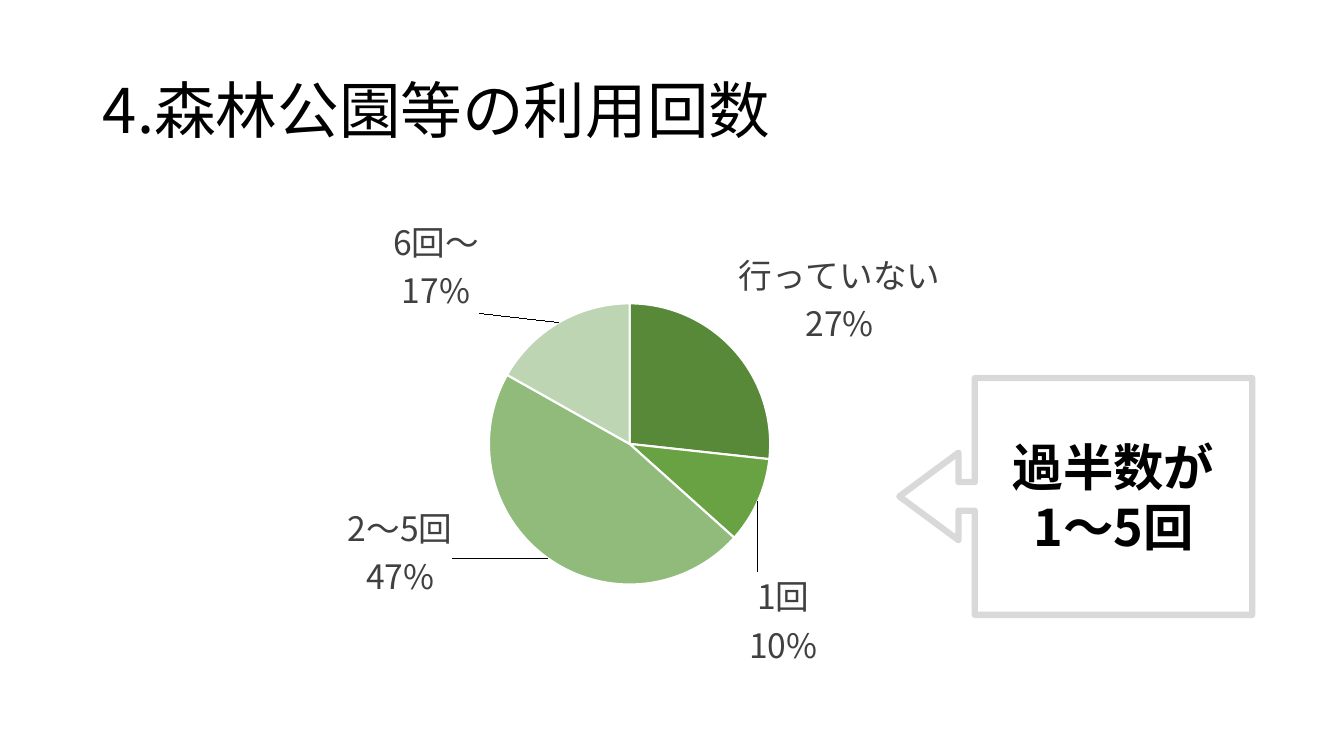
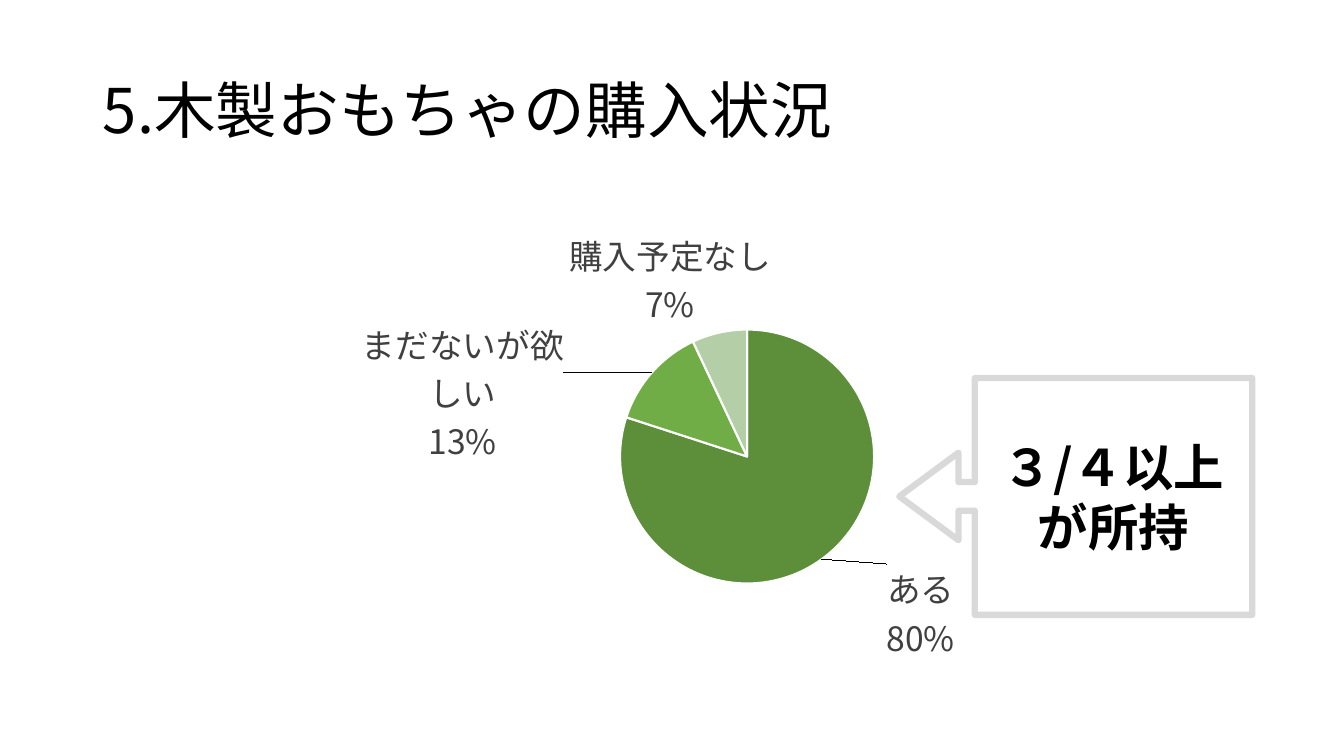
from dataclasses import dataclass

from lxml import etree
from pptx import Presentation
from pptx.chart.data import CategoryChartData
from pptx.dml.color import RGBColor
from pptx.enum.chart import XL_CHART_TYPE, XL_LABEL_POSITION
from pptx.enum.shapes import MSO_SHAPE
from pptx.enum.text import MSO_ANCHOR, MSO_AUTO_SIZE, PP_ALIGN
from pptx.oxml.ns import qn
from pptx.util import Inches, Pt

PIE = XL_CHART_TYPE.PIE
BEST_FIT = XL_LABEL_POSITION.BEST_FIT
LEFT_CALLOUT = MSO_SHAPE.LEFT_ARROW_CALLOUT
MIDDLE = MSO_ANCHOR.MIDDLE
NO_AUTOFIT = MSO_AUTO_SIZE.NONE
LEFT, CENTER = PP_ALIGN.LEFT, PP_ALIGN.CENTER
TITLE_ONLY = 5


@dataclass(frozen=True)
class Theme:
    font: str = "Noto Sans CJK JP"
    ink: str = "000000"
    label: str = "404040"
    paper: str = "FFFFFF"
    outline: str = "D9D9D9"
    title_size: int = 44
    callout_size: int = 36
    label_size: int = 24
    chart_size: int = 10


TITLE_AREA = (0.92, 0.4, 11.5, 1.45)
CHART_AREA = (0.92, 2, 11.5, 4.76)
CALLOUT_AREA = (8.92, 3.75, 3.5, 2.35)
CALLOUT_SHAPE = (0.121, 0.185, 0.25, 0.786)

PAGES = [
    {
        "title": "4.森林公園等の利用回数",
        "slices": [("行っていない", 27, "588938"), ("1回", 10, "69A242"),
                   ("2～5回", 47, "90BB7B"), ("6回～", 17, "BED5B4")],
        "pie": (4.85, 3.01, 2.79),
        "moves": {1: (-0.14, 0.67), 2: (-0.91, -0.6), 3: (-0.76, -0.04)},
        "callout": ["過半数が", "1～5回"],
    },
    {
        "title": "5.木製おもちゃの購入状況",
        "slices": [("ある", 80, "5D8F3B"), ("まだないが欲しい", 13, "70AD47"),
                   ("購入予定なし", 7, "B4CFA8")],
        "pie": (6.15, 3.27, 2.52),
        "moves": {0: (0.61, 0), 1: (-0.83, 0.95)},
        "callout": ["３/４以上が所持"],
    },
]


def color(value):
    return RGBColor.from_string(value)


def chart_layout(**settings):
    layout = etree.Element(qn("c:layout"))
    manual = etree.SubElement(layout, qn("c:manualLayout"))
    for name, value in settings.items():
        text = value if isinstance(value, str) else f"{value:.4f}"
        etree.SubElement(manual, qn(f"c:{name}")).set("val", text)
    return layout


def show_name_and_percent(labels):
    for name, value in (("showVal", "0"), ("showCatName", "1"), ("showPercent", "1")):
        labels.find(qn(f"c:{name}")).set("val", value)
    separator = etree.Element(qn("c:separator"))
    separator.text = "\n"
    labels.find(qn("c:showBubbleSize")).addnext(separator)


class SurveyDeck:
    def __init__(self, theme):
        self.theme = theme
        self.deck = Presentation()
        self.deck.slide_width = Inches(13.33)
        self.deck.slide_height = Inches(7.5)
        self.page = None

    def add_page(self):
        self.page = self.deck.slides.add_slide(self.deck.slide_layouts[TITLE_ONLY])

    def style(self, font, size, ink, bold=False):
        font.name = self.theme.font
        font.size = Pt(size)
        font.bold = bold
        font.color.rgb = color(ink)

    def use_east_asian_font(self, element):
        for latin in list(element.iter(qn("a:latin"))):
            east_asian = etree.Element(qn("a:ea"))
            east_asian.set("typeface", self.theme.font)
            latin.addnext(east_asian)

    def fill_text(self, box, lines, size, align, bold=False):
        frame = box.text_frame
        frame.word_wrap = True
        frame.vertical_anchor = MIDDLE
        frame.text = "\n".join(lines)
        for para in frame.paragraphs:
            para.alignment = align
            self.style(para.font, size, self.theme.ink, bold)
        self.use_east_asian_font(box.element)
        return frame

    def title(self, text):
        box = self.page.shapes.title
        box.left, box.top, box.width, box.height = map(Inches, TITLE_AREA)
        frame = self.fill_text(box, [text], self.theme.title_size, LEFT)
        frame.auto_size = NO_AUTOFIT
        frame.paragraphs[0].line_spacing = 0.9

    def pie_chart(self, slices, pie, moves):
        data = CategoryChartData()
        data.categories = [name for name, _, _ in slices]
        data.add_series("Series 1", [value for _, value, _ in slices])
        chart = self.page.shapes.add_chart(PIE, *map(Inches, CHART_AREA), data).chart
        chart.has_title = False
        chart.has_legend = False
        self.style(chart.font, self.theme.chart_size, self.theme.ink)
        plot = chart.plots[0]
        plot.vary_by_categories = True
        series = plot.series[0]
        for index, (_, _, fill) in enumerate(slices):
            slice_format = series.points[index].format
            slice_format.fill.solid()
            slice_format.fill.fore_color.rgb = color(fill)
            slice_format.line.color.rgb = color(self.theme.paper)
            slice_format.line.width = Pt(1.5)
        self.pie_labels(series, moves)
        self.place_pie(plot, pie)
        self.use_east_asian_font(chart.element)

    def pie_labels(self, series, moves):
        _, _, width, height = CHART_AREA
        points = {index: series.points[index].data_label for index in moves}
        for label in (series.data_labels, *points.values()):
            label.position = BEST_FIT
            self.style(label.font, self.theme.label_size, self.theme.label)
        label_set = series.data_labels._element
        show_name_and_percent(label_set)
        for label in label_set.findall(qn("c:dLbl")):
            index = label.find(qn("c:idx"))
            right, down = moves[int(index.get("val"))]
            index.addnext(chart_layout(x=right / width, y=down / height))
            show_name_and_percent(label)

    def place_pie(self, plot, pie):
        left, top, size = pie
        area_left, area_top, width, height = CHART_AREA
        area = plot._element.getparent()
        for automatic in area.findall(qn("c:layout")):
            area.remove(automatic)
        area.insert(0, chart_layout(
            layoutTarget="inner", xMode="edge", yMode="edge",
            x=(left - area_left) / width, y=(top - area_top) / height,
            w=size / width, h=size / height))

    def callout(self, lines):
        box = self.page.shapes.add_shape(LEFT_CALLOUT, *map(Inches, CALLOUT_AREA))
        for index, value in enumerate(CALLOUT_SHAPE):
            box.adjustments[index] = value
        box.shadow.inherit = False
        box.fill.solid()
        box.fill.fore_color.rgb = color(self.theme.paper)
        box.line.color.rgb = color(self.theme.outline)
        box.line.width = Pt(4.5)
        self.fill_text(box, lines, self.theme.callout_size, CENTER, bold=True)


def main():
    survey = SurveyDeck(Theme())
    for content in PAGES:
        survey.add_page()
        survey.title(content["title"])
        survey.pie_chart(content["slices"], content["pie"], content["moves"])
        survey.callout(content["callout"])
    survey.deck.save("out.pptx")


if __name__ == "__main__":
    main()
